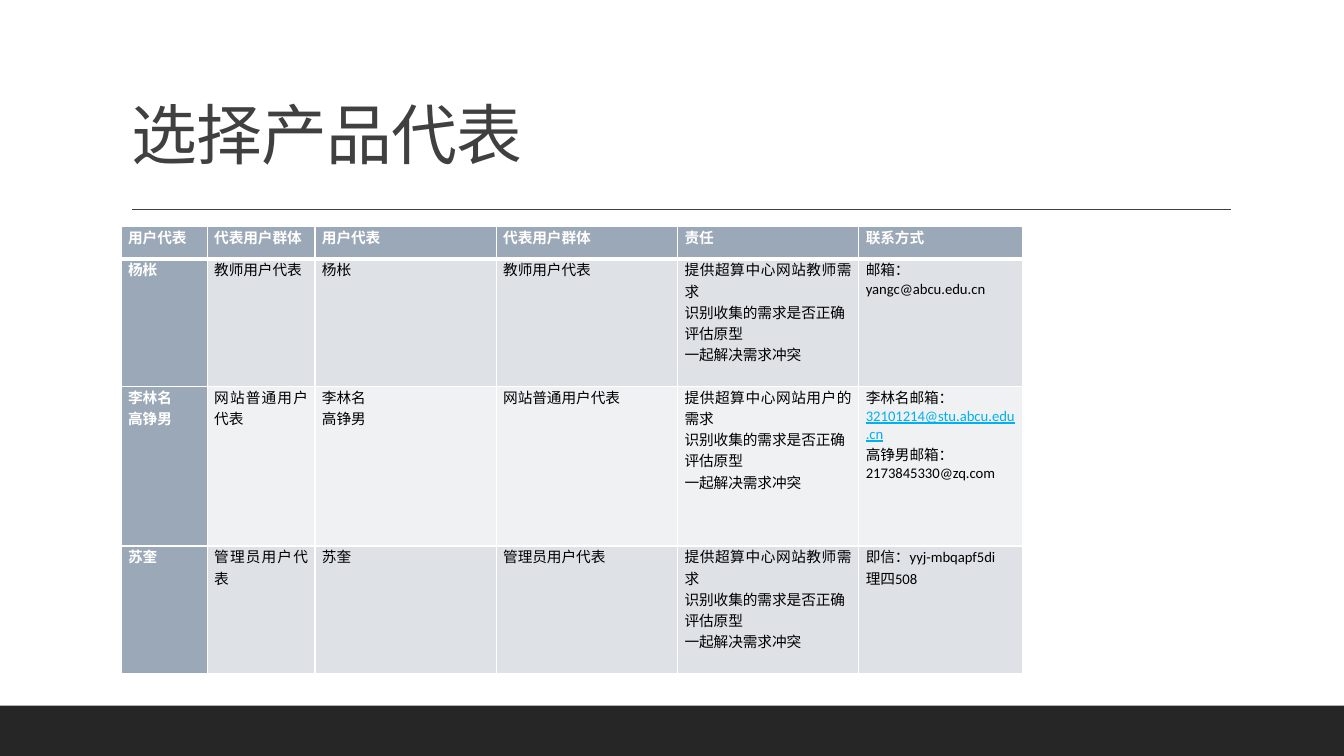
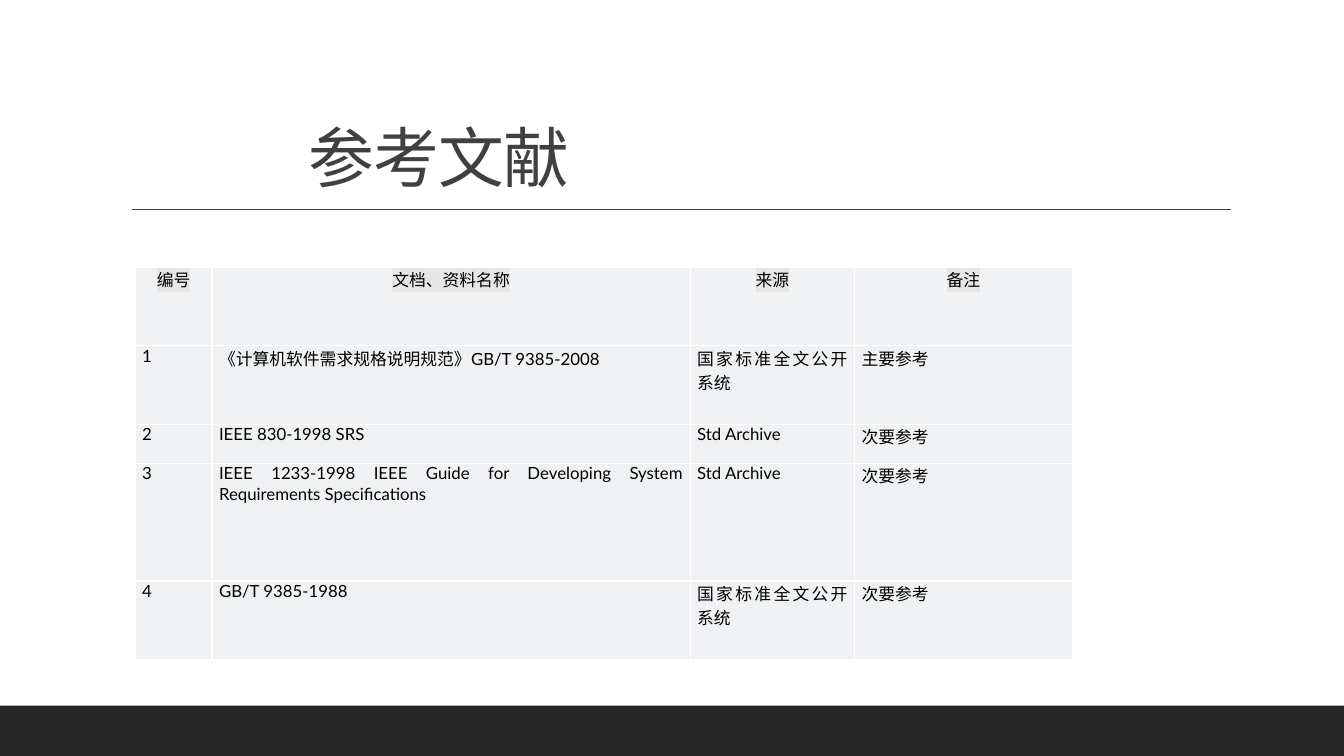
"""Build two slides: product representatives and reference documents."""
import pptx
import pptx.dml.color
import pptx.enum.shapes
import pptx.enum.text
import pptx.oxml
import pptx.oxml.ns
import pptx.util

Pt = pptx.util.Pt
qn = pptx.oxml.ns.qn
ALIGN = pptx.enum.text.PP_ALIGN
COLORS = {
    "band": "262626", "title": "404040", "header": "9BA8B7", "dark_row": "DEE1E6",
    "light_row": "EFF1F3", "highlight": "E6E6E6", "link": "00B0F0",
    "white": "FFFFFF", "black": "000000",
}
CJK_FONT = "Noto Sans CJK SC"
DUTIES = "提供超算中心网站{}需求\n识别收集的需求是否正确\n评估原型\n一起解决需求冲突"
LINKED_EMAIL = "32101214@stu.abcu.edu.cn"

representatives = [["用户代表", "代表用户群体", "用户代表", "代表用户群体", "责任", "联系方式"]]
for names, group, served, contact in [
    ("杨枨", "教师用户代表", "教师", "邮箱：\nyangc@abcu.edu.cn"),
    ("李林名\n高铮男", "网站普通用户代表", "用户的",
     f"李林名邮箱：\n{LINKED_EMAIL}\n高铮男邮箱：\n2173845330@zq.com"),
    ("苏奎", "管理员用户代表", "教师", "即信：yyj-mbqapf5di\n理四508"),
]:
    representatives.append([names, group, names, group, DUTIES.format(served), contact])

references = [
    ["编号", "文档、资料名称", "来源", "备注"],
    ["1", "《计算机软件需求规格说明规范》GB/T 9385-2008", "国家标准全文公开系统", "主要参考"],
    ["2", "IEEE 830-1998 SRS", "Std Archive", "次要参考"],
    ["3", "IEEE 1233-1998 IEEE Guide for Developing System Requirements Specifications",
     "Std Archive", "次要参考"],
    ["4", "GB/T 9385-1988", "国家标准全文公开系统", "次要参考"],
]

pages = [
    {"title": "选择产品代表", "title_box": (86.5, 49.5, 810, 78), "rows": representatives,
     "origin": (86.5, 162), "widths": [61.5, 77, 129.5, 129.5, 129.5, 117],
     "heights": [23, 91, 114, 91], "size": 10.5, "banded": True},
    {"title": "参考文献", "title_box": (213, 85, 375, 59), "rows": references,
     "origin": (96.5, 191), "widths": [55, 341.5, 117.5, 155.5],
     "heights": [56, 56, 28, 84, 56], "size": 12, "banded": False},
]


def rgb(name):
    return pptx.dml.color.RGBColor.from_string(COLORS[name])


def drawing_xml(body):
    return pptx.oxml.parse_xml(body.replace(
        " ", ' xmlns:a="http://schemas.openxmlformats.org/drawingml/2006/main" ', 1))


deck = pptx.Presentation()
deck.slide_width, deck.slide_height = Pt(960), Pt(540)
layout = deck.slide_layouts[5]
slides = [deck.slides.add_slide(layout) for page in pages]

band = slides[0].shapes.add_shape(
    pptx.enum.shapes.MSO_SHAPE.RECTANGLE, 0, Pt(504), Pt(960), Pt(36))
band.shadow.inherit = False
band.fill.solid()
band.fill.fore_color.rgb = rgb("band")
band.line.fill.background()
title_rule = slides[0].shapes.add_connector(
    pptx.enum.shapes.MSO_CONNECTOR.STRAIGHT, Pt(94.5), Pt(149.5), Pt(879), Pt(149.5))
title_rule.line.color.rgb = rgb("title")
title_rule.line.width = Pt(1)
title_rule.element.spPr.append(drawing_xml("<a:effectLst />"))
for offset, part in enumerate((band, title_rule)):
    next(part.element.iter(qn("p:cNvPr"))).set("id", str(20 + offset))
    layout.shapes.element.insert(2 + offset, part.element)

for slide, page in zip(slides, pages):
    heading = slide.shapes.title
    heading.left, heading.top, heading.width, heading.height = map(Pt, page["title_box"])
    heading.text_frame.text = page["title"]
    heading.text_frame.auto_size = pptx.enum.text.MSO_AUTO_SIZE.NONE
    heading.text_frame.vertical_anchor = pptx.enum.text.MSO_ANCHOR.BOTTOM
    paragraph = heading.text_frame.paragraphs[0]
    paragraph.alignment = ALIGN.LEFT
    paragraph.line_spacing = 0.9
    paragraph.font.size = Pt(47)
    paragraph.font.name = CJK_FONT
    paragraph.font.color.rgb = rgb("title")
    next(heading.element.iter(qn("a:defRPr"))).set("spc", "-50")

    rows, banded = page["rows"], page["banded"]
    frame = slide.shapes.add_table(
        len(rows), len(rows[0]), *map(Pt, page["origin"]),
        Pt(sum(page["widths"])), Pt(sum(page["heights"])))
    table = frame.table
    table.first_row = table.horz_banding = False
    for column, width in zip(table.columns, page["widths"]):
        column.width = Pt(width)
    for row, height in zip(table.rows, page["heights"]):
        row.height = Pt(height)

    for r, texts in enumerate(rows):
        for c, text in enumerate(texts):
            cell = table.cell(r, c)
            is_label = banded and (r == 0 or c == 0)
            cell.margin_left = cell.margin_right = Pt(5)
            cell.margin_top = cell.margin_bottom = 0
            cell.fill.solid()
            cell.fill.fore_color.rgb = rgb(
                "header" if is_label else "dark_row" if banded and r % 2 else "light_row")
            cell.text_frame.text = text
            for paragraph in cell.text_frame.paragraphs:
                is_link = paragraph.text == LINKED_EMAIL
                paragraph.alignment = ALIGN.CENTER if r == 0 and not banded else ALIGN.JUSTIFY
                font = paragraph.font
                font.size = Pt(page["size"])
                font.name = "Calibri" if banded and c > 1 else "Lato"
                font.bold = is_label
                font.underline = is_link
                font.color.rgb = rgb("link" if is_link else "white" if is_label else "black")

    for r, row_element in enumerate(frame.element.iter(qn("a:tr"))):
        for borders in row_element.iter(qn("a:tcPr")):
            for position, side in enumerate("LRTB"):
                heavy = banded and (r, side) in ((0, "B"), (1, "T"))
                borders.insert(position, drawing_xml(
                    f'<a:ln{side} w="{Pt(3 if heavy else 1)}"><a:solidFill>'
                    f'<a:srgbClr val="{COLORS["white"]}"/></a:solidFill></a:ln{side}>'))
        if r == 0 and not banded:
            for latin in row_element.iter(qn("a:latin")):
                latin.addprevious(drawing_xml(
                    f'<a:highlight ><a:srgbClr val="{COLORS["highlight"]}"/></a:highlight>'))

    for latin in list(slide.element.iter(qn("a:latin"))):
        latin.addnext(drawing_xml(f'<a:ea typeface="{CJK_FONT}"/>'))

deck.save("out.pptx")
